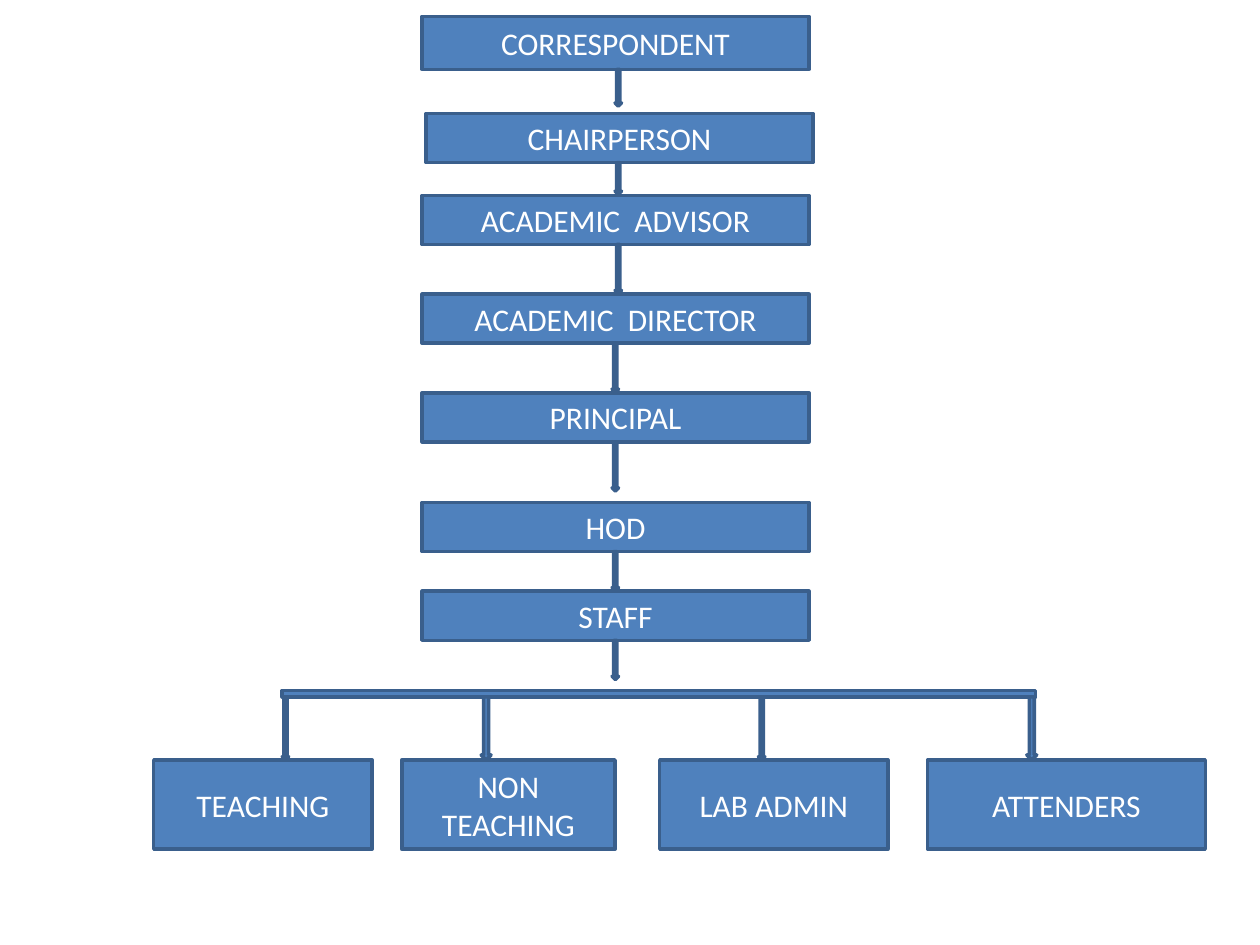
"""Build a one-slide organisation chart of a college."""
from pptx import Presentation
from pptx.dml.color import RGBColor
from pptx.enum.shapes import MSO_SHAPE
from pptx.enum.text import MSO_ANCHOR, PP_ALIGN
from pptx.util import Cm, Pt

BLUE = RGBColor(0x4F, 0x81, 0xBD)
NAVY = RGBColor(0x3A, 0x5F, 0x8C)
WHITE = RGBColor(0xFF, 0xFF, 0xFF)

deck = Presentation()
deck.slide_width, deck.slide_height = Cm(25.4), Cm(19.05)
page = deck.slides.add_slide(deck.slide_layouts[6])


def add_block(kind, left, top, width, height):
    block = page.shapes.add_shape(kind, Cm(left), Cm(top), Cm(width), Cm(height))
    block.shadow.inherit = False
    block.fill.solid()
    block.fill.fore_color.rgb = BLUE
    block.line.color.rgb = NAVY
    block.line.width = Pt(2)
    return block


def write_text(box, text, font="Calibri", size=18, color=WHITE, align=PP_ALIGN.CENTER):
    box.text_frame.word_wrap = True
    box.text_frame.vertical_anchor = MSO_ANCHOR.MIDDLE
    para = box.text_frame.paragraphs[0]
    para.alignment = align
    span = para.add_run()
    span.text = text
    span.font.name = font
    span.font.size = Pt(size)
    span.font.color.rgb = color


levels = [
    ("CORRESPONDENT", 8.51, 0.33, 1.07, 12.4, 0.74),
    ("CHAIRPERSON", 8.59, 2.29, 0.99, 12.4, 0.64),
    ("ACADEMIC  ADVISOR", 8.51, 3.94, 0.99, 12.4, 0.99),
    ("ACADEMIC  DIRECTOR", 8.51, 5.93, 0.99, 12.34, 0.99),
    ("PRINCIPAL", 8.51, 7.92, 0.99, 12.34, 0.99),
    ("HOD", 8.51, 10.13, 0.99, 12.34, 0.79),
    ("STAFF", 8.51, 11.92, 0.99, 12.34, 0.79),
]
for title, left, top, height, arrow_left, arrow_length in levels:
    write_text(add_block(MSO_SHAPE.RECTANGLE, left, top, 7.8, height), title)
for title, left, top, height, arrow_left, arrow_length in levels:
    add_block(MSO_SHAPE.DOWN_ARROW, arrow_left, top + height, 0.13, arrow_length)

bar_top, bar_height, branch_length = 13.92, 0.13, 1.27
branch_top = bar_top + bar_height
add_block(MSO_SHAPE.RECTANGLE, 5.69, bar_top, 15.19, bar_height)

branches = [
    ("TEACHING", 3.1, 4.4, 5.69, 0.13),
    ("NON TEACHING", 8.1, 4.3, 9.7, 0.2),
    ("LAB ADMIN", 13.3, 4.6, 15.29, 0.13),
    ("ATTENDERS", 18.7, 5.6, 20.7, 0.2),
]
for title, left, width, arrow_left, arrow_width in branches:
    add_block(MSO_SHAPE.DOWN_ARROW, arrow_left, branch_top, arrow_width, branch_length)
    box = add_block(MSO_SHAPE.RECTANGLE, left, branch_top + branch_length, width, 1.8)
    write_text(box, title)

deck.save("out.pptx")
